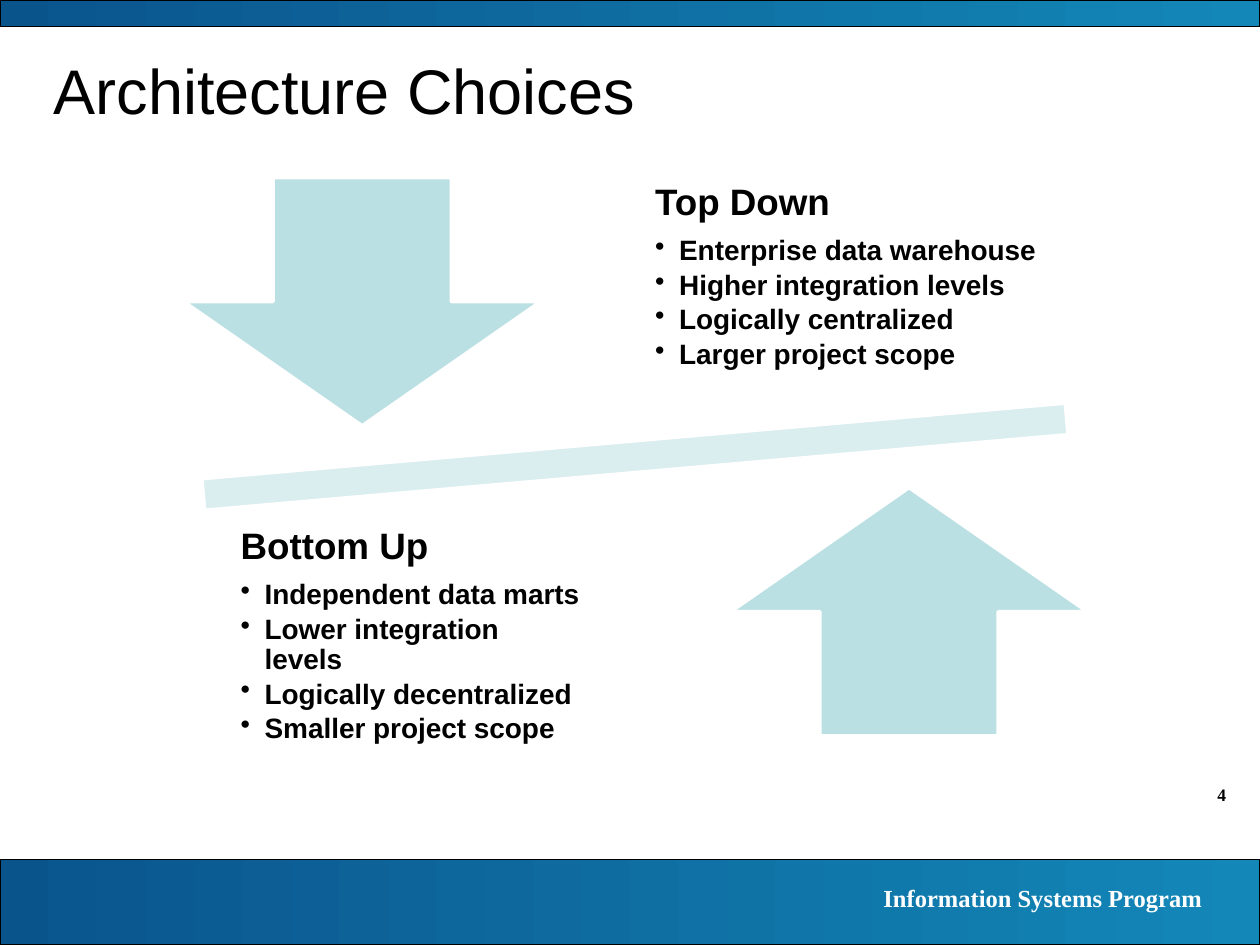
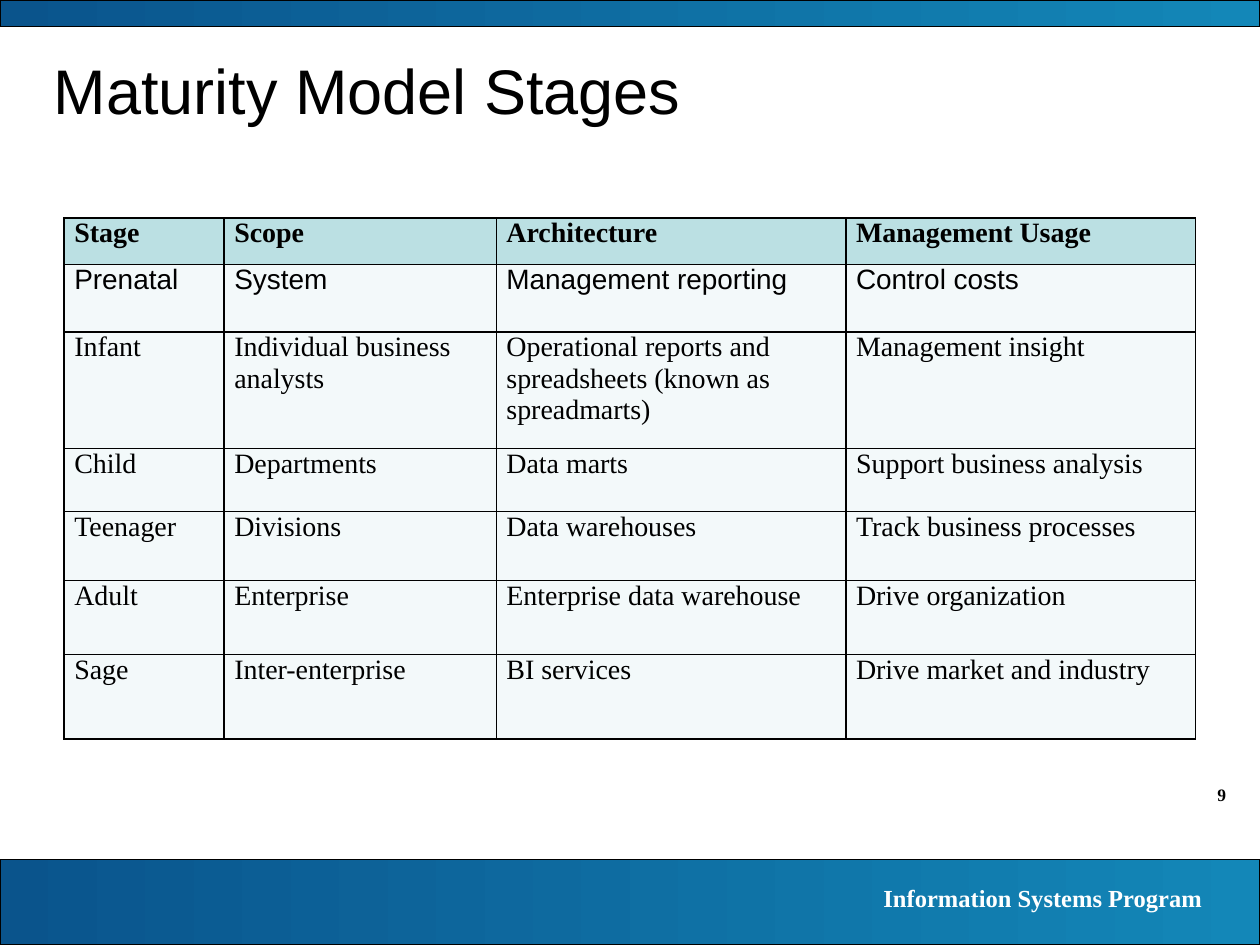
from lxml import etree
from pptx import Presentation
from pptx import util as u
from pptx.dml.color import RGBColor
from pptx.enum import shapes, text
from pptx.oxml import ns

SANS, SERIF = "Arial", "Times New Roman"
BLACK, WHITE = "000000", "FFFFFF"
NAVY, OCEAN = "0A548C", "1387B8"
TEAL, PALE_TEAL, ICE = "BBE0E3", "DAEDEF", "F3F9FA"

COLUMNS, ROWS = 100, 75  # grid laid over the slide
WIDTH, HEIGHT = u.Inches(10), u.Inches(7.5)
DEFAULT_INSETS = (1, 0.5, 1, 0.5)
Kind = shapes.MSO_SHAPE


def color(value):
    return RGBColor.from_string(value)


def across(columns):
    return round(WIDTH * columns / COLUMNS)


def down(rows):
    return round(HEIGHT * rows / ROWS)


def place(left, top, width, height):
    return across(left), down(top), across(width), down(height)


def add_xml(parent, tag, **attributes):
    return etree.SubElement(parent, ns.qn(tag), attributes)


class Deck:
    def __init__(self):
        self.presentation = Presentation()
        self.presentation.slide_width = WIDTH
        self.presentation.slide_height = HEIGHT
        self.slide = None

    def start_slide(self, title, number):
        layout = self.presentation.slide_layouts[6]
        self.slide = self.presentation.slides.add_slide(layout)
        self.label(str(number), (90, 61.7, 8.3, 2.7), 10)
        self.band(68.2, 6.8)
        self.band(0, 2.1)
        self.label("Information Systems Program", (55.5, 69.6, 40.9, 3.4), 14, WHITE)
        frame = self.text_frame((3.3, 3.3, 91.7, 7.5), text.MSO_ANCHOR.MIDDLE)
        self.set_text(frame.paragraphs[0], title, 36)

    def set_text(self, paragraph, words, size, font=SANS, bold=False, fill=BLACK):
        paragraph.text = words
        paragraph.font.name = font
        paragraph.font.size = u.Pt(size)
        paragraph.font.bold = bold
        paragraph.font.color.rgb = color(fill)

    def set_insets(self, target, left, top, right, bottom):
        target.margin_left, target.margin_right = across(left), across(right)
        target.margin_top, target.margin_bottom = down(top), down(bottom)

    def text_frame(self, box, anchor=text.MSO_ANCHOR.TOP, insets=DEFAULT_INSETS):
        frame = self.slide.shapes.add_textbox(*place(*box)).text_frame
        frame.word_wrap = True
        frame.vertical_anchor = anchor
        self.set_insets(frame, *insets)
        return frame

    def label(self, words, box, size, fill=BLACK):
        """Bold serif text, aligned right."""
        paragraph = self.text_frame(box).paragraphs[0]
        paragraph.alignment = text.PP_ALIGN.RIGHT
        self.set_text(paragraph, words, size, SERIF, True, fill)

    def shape(self, kind, box, fill=None, line=WHITE, line_width=2, rotation=0):
        shape = self.slide.shapes.add_shape(kind, *place(*box))
        shape.shadow.inherit = False
        shape.rotation = rotation
        shape.line.color.rgb = color(line)
        shape.line.width = u.Pt(line_width)
        if fill:
            shape.fill.solid()
            shape.fill.fore_color.rgb = color(fill)
        return shape

    def band(self, top, height):
        band = self.shape(Kind.RECTANGLE, (0, top, COLUMNS, height),
                          line=BLACK, line_width=0.75)
        band.fill.gradient()
        band.fill.gradient_angle = 0
        for stop, position, tone in zip(band.fill.gradient_stops, (0, 1), (NAVY, OCEAN)):
            stop.position = position
            stop.color.rgb = color(tone)

    def bullet_list(self, heading, items, box):
        frame = self.text_frame(box, text.MSO_ANCHOR.MIDDLE, (1.6,) * 4)
        for index, words in enumerate([heading, *items]):
            paragraph = frame.add_paragraph() if index else frame.paragraphs[0]
            paragraph.line_spacing = 0.9
            paragraph.space_after = u.Pt(2.5 if index else 7.5)
            if index:
                paragraph.level = 1
                properties = paragraph._p.get_or_add_pPr()
                properties.set("marL", str(across(1.9)))
                properties.set("indent", str(-across(1.9)))
                add_xml(properties, "a:buChar", char="•")
            self.set_text(paragraph, words, 16 if index else 21, bold=True)

    def border(self, cell):
        properties = cell._tc.get_or_add_tcPr()
        for side in ("a:lnL", "a:lnR", "a:lnT", "a:lnB"):
            line = add_xml(properties, side, w=str(u.Pt(1)))
            add_xml(add_xml(line, "a:solidFill"), "a:srgbClr", val=BLACK)

    def table(self, rows, left, top, widths, heights, sans_rows):
        box = place(left, top, sum(widths), sum(heights))
        table = self.slide.shapes.add_table(len(rows), len(widths), *box).table
        table.first_row = table.horz_banding = False
        for column, width in zip(table.columns, widths):
            column.width = across(width)
        for index, (row, height, values) in enumerate(zip(table.rows, heights, rows)):
            row.height = down(height)
            header = index == 0
            font = SANS if index in sans_rows else SERIF
            for cell, words in zip(row.cells, values):
                self.set_insets(cell, 0.8, 0, 0.8, 0)
                self.border(cell)
                cell.fill.solid()
                cell.fill.fore_color.rgb = color(TEAL if header else ICE)
                self.set_text(cell.text_frame.paragraphs[0], words, 16, font, header)


def add_architecture_choices(deck):
    deck.start_slide("Architecture Choices", 4)
    # Divider between the two approaches
    deck.shape(Kind.MATH_MINUS, (3.6, 30.9, 93.6, 10.7), PALE_TEAL, rotation=355)
    # Top down
    deck.shape(Kind.DOWN_ARROW, (14.6, 14.1, 28.3, 19.7), TEAL)
    deck.bullet_list("Top Down", [
        "Enterprise data warehouse",
        "Higher integration levels",
        "Logically centralized",
        "Larger project scope",
    ], (50.4, 11.7, 35.9, 20.6))
    # Bottom up
    deck.shape(Kind.UP_ARROW, (58, 38.7, 28.3, 19.7), TEAL)
    deck.bullet_list("Bottom Up", [
        "Independent data marts",
        "Lower integration levels",
        "Logically decentralized",
        "Smaller project scope",
    ], (17.5, 40.2, 30.1, 20.6))


def add_maturity_stages(deck):
    deck.start_slide("Maturity Model Stages", 9)
    stages = [
        ("Stage", "Scope", "Architecture", "Management Usage"),
        ("Prenatal", "System", "Management reporting", "Control costs"),
        ("Infant", "Individual business analysts",
         "Operational reports and spreadsheets (known as spreadmarts)",
         "Management insight"),
        ("Child", "Departments", "Data marts", "Support business analysis"),
        ("Teenager", "Divisions", "Data warehouses", "Track business processes"),
        ("Adult", "Enterprise", "Enterprise data warehouse", "Drive organization"),
        ("Sage", "Inter-enterprise", "BI services", "Drive market and industry"),
    ]
    deck.table(stages, 5.1, 17.3, widths=(12.7, 21.6, 27.75, 27.75),
               heights=(3.7, 5.35, 9.25, 5, 5.5, 5.85, 6.7), sans_rows={1})


def main():
    deck = Deck()
    add_architecture_choices(deck)
    add_maturity_stages(deck)
    deck.presentation.save("out.pptx")


if __name__ == "__main__":
    main()
